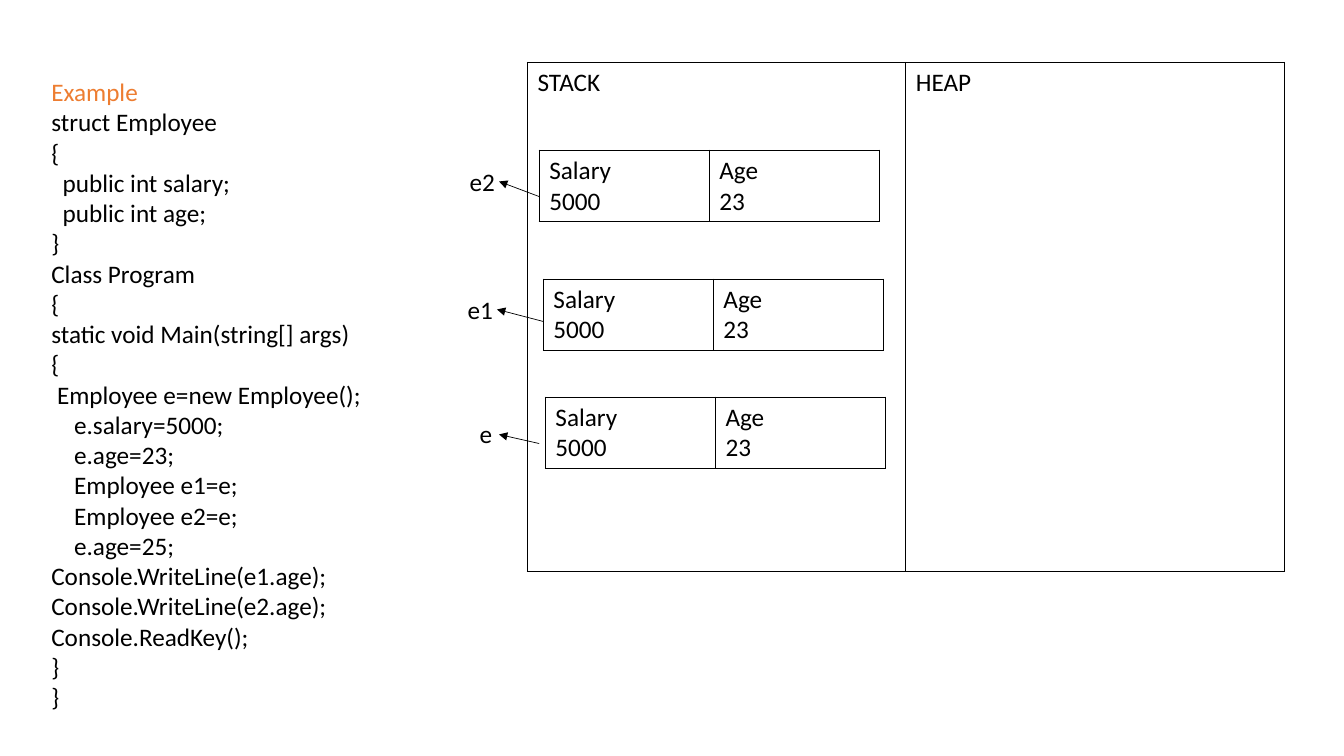
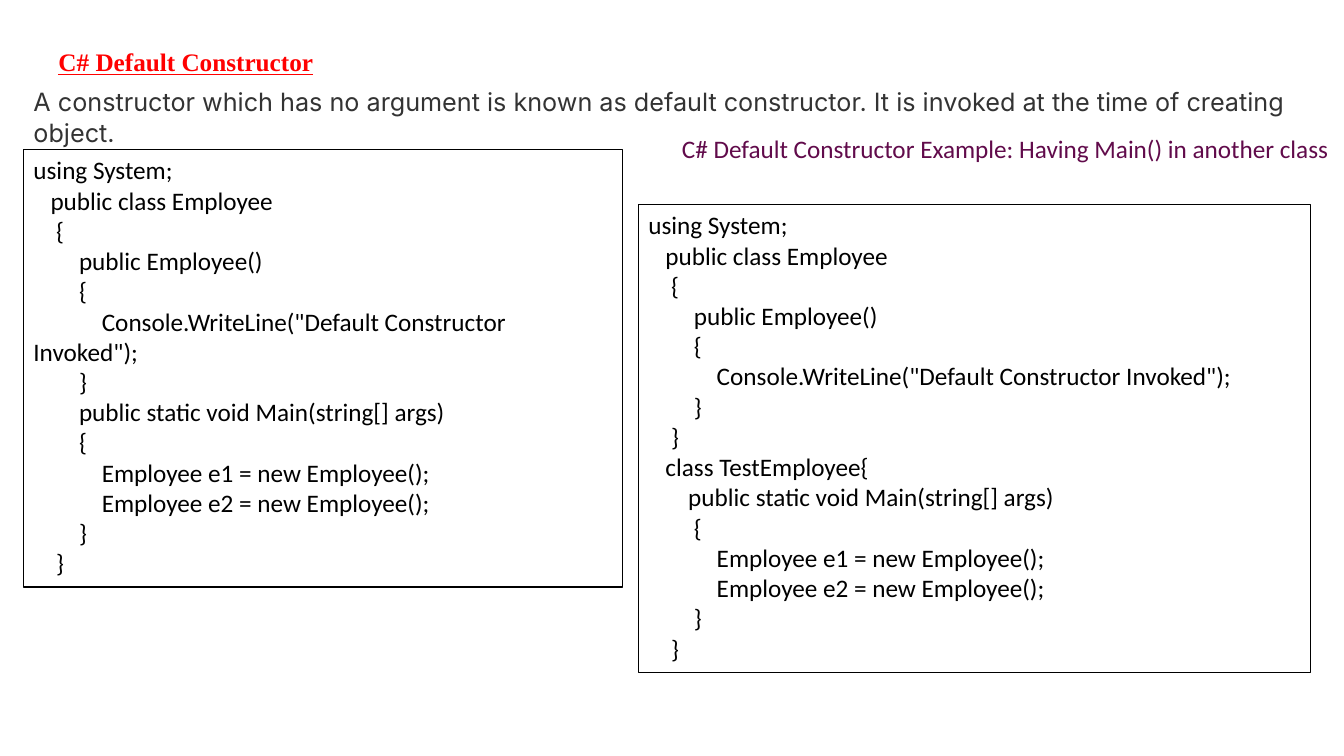
from dataclasses import dataclass

from lxml.etree import SubElement
from pptx import Presentation
from pptx.dml.color import RGBColor as RGB
from pptx.enum.shapes import MSO_CONNECTOR as LINE, MSO_SHAPE as SHAPE
from pptx.enum.text import MSO_ANCHOR as ANCHOR, MSO_AUTO_SIZE as FIT, PP_ALIGN as ALIGN
from pptx.oxml.ns import qn
from pptx.util import Inches, Pt


@dataclass(frozen=True)
class Theme:
    body: str = "Calibri"
    heading: str = "Times New Roman"
    prose: str = "Inter"
    black: str = "000000"
    white: str = "FFFFFF"
    orange: str = "ED7D31"
    red: str = "FF0000"
    grey: str = "333333"
    plum: str = "610B4B"
    size: int = 18
    border: float = 1
    arrow: float = 0.5
    space: float = 4.07  # indent of one code column, in points


T = Theme()
TITLE_ONLY, BLANK = 5, 6
GRID = 100  # columns and rows on a slide

STRUCT_CODE = """struct Employee
{
  public int salary;
  public int age;
}
Class Program
{
static void Main(string[] args)
{
 Employee e=new Employee();
    e.salary=5000;
    e.age=23;
    Employee e1=e;
    Employee e2=e;
    e.age=25;
Console.WriteLine(e1.age);
Console.WriteLine(e2.age);
Console.ReadKey();
}
}"""

CLASS_CODE = """using System;
   public class Employee
    {
        public Employee()
        {
            Console.WriteLine("Default Constructor Invoked");
        }
"""

MAIN_CODE = """public static void Main(string[] args)
        {
            Employee e1 = new Employee();
            Employee e2 = new Employee();
        }
    }"""

ONE_CLASS = CLASS_CODE + " " * 8 + MAIN_CODE
TWO_CLASSES = CLASS_CODE + "    }\n   class TestEmployee{\n" + " " * 7 + MAIN_CODE


def write(tf, text, font=T.body, color=T.black, bold=False, underline=False,
          align=ALIGN.LEFT, first=None):
    """Fill a text frame; leading spaces become indents, first recolours line one."""
    tf.word_wrap = True
    for i, line in enumerate(text.split("\n")):
        p = tf.paragraphs[0] if i == 0 else tf.add_paragraph()
        p.alignment = align
        code = line.lstrip()
        pPr = p._p.get_or_add_pPr()
        pPr.set("marL", "0")
        pPr.set("indent", str(Pt(T.space * (len(line) - len(code)))))
        r = p.add_run()
        r.text = code
        f = r.font
        f.name, f.size, f.bold, f.underline = font, Pt(T.size), bold, underline
        f.color.rgb = RGB.from_string(first if first and i == 0 else color)


def add_border(cell):
    tcPr = cell._tc.get_or_add_tcPr()
    for i, side in enumerate(("lnL", "lnR", "lnT", "lnB")):
        ln = tcPr.makeelement(qn("a:" + side), {"w": str(Pt(T.border))})
        fill = SubElement(ln, qn("a:solidFill"))
        SubElement(fill, qn("a:srgbClr"), val=T.black)
        tcPr.insert(i, ln)


class Deck:
    """Holds the presentation and the slide being drawn; lengths are grid units."""

    def __init__(self):
        self.prs = Presentation()
        self.prs.slide_width, self.prs.slide_height = Inches(13.33), Inches(7.5)
        self.col = self.prs.slide_width / GRID
        self.row = self.prs.slide_height / GRID

    def new_slide(self, layout):
        self.s = self.prs.slides.add_slide(self.prs.slide_layouts[layout])

    def scale(self, *lengths):
        return [round(v * (self.row if i % 2 else self.col)) for i, v in enumerate(lengths)]

    def title(self, box, text, **fmt):
        sp = self.s.shapes.title
        sp.left, sp.top, sp.width, sp.height = self.scale(*box)
        tf = sp.text_frame
        tf.auto_size, tf.vertical_anchor = FIT.NONE, ANCHOR.TOP
        write(tf, text, **fmt)

    def text(self, box, text, **fmt):
        write(self.s.shapes.add_textbox(*self.scale(*box)).text_frame, text, **fmt)

    def code_box(self, box, text):
        sp = self.s.shapes.add_shape(SHAPE.RECTANGLE, *self.scale(*box))
        sp.shadow.inherit = False
        sp.fill.solid()
        sp.fill.fore_color.rgb = RGB.from_string(T.white)
        sp.line.color.rgb = RGB.from_string(T.black)
        sp.line.width = Pt(T.border)
        sp.text_frame.vertical_anchor = ANCHOR.TOP
        write(sp.text_frame, text)

    def table(self, box, *texts):
        table = self.s.shapes.add_table(1, len(texts), *self.scale(*box)).table
        table.first_row = table.horz_banding = False
        for cell, text in zip(table.rows[0].cells, texts):
            cell.fill.background()
            add_border(cell)
            write(cell.text_frame, text)

    def arrow(self, start, end):
        cx = self.s.shapes.add_connector(LINE.STRAIGHT, *self.scale(*start, *end))
        cx.line.color.rgb = RGB.from_string(T.black)
        cx.line.width = Pt(T.arrow)
        SubElement(cx.line._get_or_add_ln(), qn("a:tailEnd"), type="triangle")
        SubElement(cx._element.spPr, qn("a:effectLst"))


def draw_memory(deck):
    deck.new_slide(BLANK)
    deck.text((3.08, 9.47, 24.8, 86.1), "Example\n" + STRUCT_CODE, first=T.orange)
    deck.table((39.25, 8.27, 56.3, 67.3), "STACK", "HEAP")
    # name, name's corner, record's corner, arrow's start and end
    records = (
        ("e2", (34.2, 21.33), (40.12, 19.87), (40.12, 26), (37.13, 24)),
        ("e1", (34.05, 38.27), (40.43, 36.93), (40.43, 42.53), (36.98, 40.93)),
        ("e", (34.95, 54.67), (40.58, 52.53), (40.12, 58.67), (37.13, 57.47)),
    )
    for name, label, corner, start, end in records:
        deck.table((*corner, 25.3, 9.4), "Salary\n5000", "Age\n23")
        deck.arrow(start, end)
        deck.text((*label, 3.7, 5.33), name)


def draw_constructor(deck):
    deck.new_slide(TITLE_ONLY)
    deck.title((3.6, 5.47, 25, 5.33), "C# Default Constructor", font=T.heading,
               color=T.red, bold=True, underline=True, align=ALIGN.JUSTIFY)
    deck.text((1.75, 10.8, 96.7, 5.33),
              "A constructor which has no argument is known as default constructor. "
              "It is invoked at the time of creating object.",
              font=T.prose, color=T.grey)
    deck.code_box((1.75, 19.8, 44.55, 57.87), ONE_CLASS)
    deck.text((50, 16.93, 50, 9.47),
              "C# Default Constructor Example: Having Main() in another class",
              color=T.plum, align=ALIGN.JUSTIFY)
    deck.code_box((47.5, 27.07, 50, 61.87), TWO_CLASSES)


def main():
    deck = Deck()
    draw_memory(deck)
    draw_constructor(deck)
    deck.prs.save("out.pptx")


if __name__ == "__main__":
    main()
